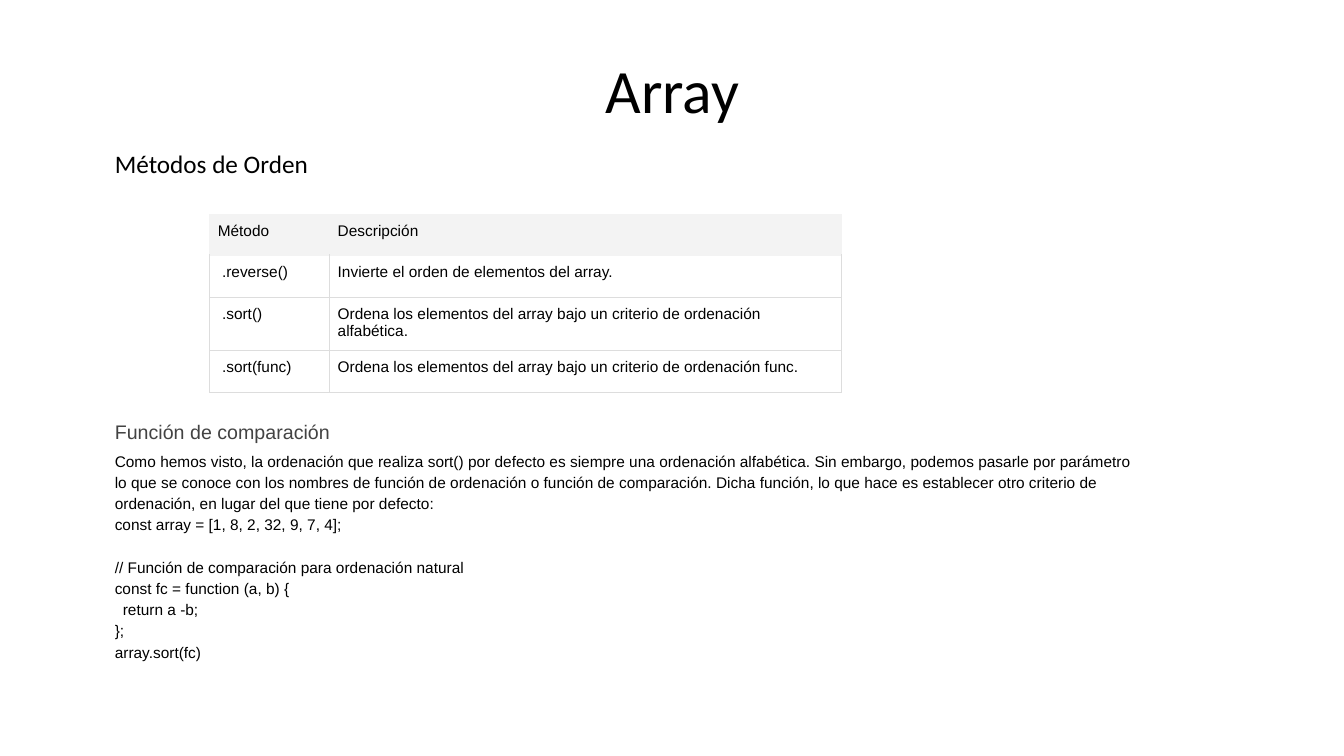
from lxml import etree
from pptx import Presentation
from pptx import util as u
from pptx.dml.color import RGBColor
from pptx.enum import text
from pptx.oxml.ns import qn

COLORS = {"text": "000000", "heading": "434343", "header": "F3F3F3",
          "body": "FFFFFF", "grid": "DDDDDD"}
METHODS = [
    ("Método", "Descripción"),
    (" .reverse()", "Invierte el orden de elementos del array."),
    (" .sort()", "Ordena los elementos del array bajo un criterio de ordenación alfabética."),
    (" .sort(func)", "Ordena los elementos del array bajo un criterio de ordenación func."),
]
EXPLANATION = (
    "Como hemos visto, la ordenación que realiza sort() por defecto es siempre una "
    "ordenación alfabética. Sin embargo, podemos pasarle por parámetro lo que se conoce "
    "con los nombres de función de ordenación o función de comparación. Dicha función, "
    "lo que hace es establecer otro criterio de ordenación, en lugar del que tiene por defecto:")
TABLE_GAP = 170  # points left free for the table
# text, font, size, color, line spacing, space before, left indent in inches
PARAGRAPHS = [
    ("Métodos de Orden", "Calibri", 18, "text", 1, 0, 0),
    ("Función de comparación", "Arial", 14, "heading", 1.15, TABLE_GAP, 0),
    (EXPLANATION, "Arial", 11, "text", 1.15, 4, 0),
] + [(line, "Arial", 11, "text", 1.15, before, indent) for line, before, indent in [
    ("const array = [1, 8, 2, 32, 9, 7, 4];", 0, 0),
    ("// Función de comparación para ordenación natural", 15, 0),
    ("const fc = function (a, b) {", 0, 0),
    ("return a -b;", 0, 0.08),
    ("};", 0, 0),
    ("array.sort(fc)", 0, 0),
]]


def set_font(p, name, size, color):
    p.font.name = name
    p.font.size = u.Pt(size)
    p.font.color.rgb = RGBColor.from_string(COLORS[color])


def set_margins(obj, x, y):
    obj.margin_left = obj.margin_right = u.Inches(x)
    obj.margin_top = obj.margin_bottom = u.Inches(y)


def add_title(s, left, top, width, height):
    sp = s.shapes.title
    sp.left, sp.top, sp.width, sp.height = map(u.Inches, (left, top, width, height))
    tf = sp.text_frame
    tf.text = "Array"
    tf.vertical_anchor = text.MSO_ANCHOR.MIDDLE
    set_margins(tf, 0.1, 0.05)
    p = tf.paragraphs[0]
    p.alignment = text.PP_ALIGN.CENTER
    p.line_spacing = 0.9
    set_font(p, "Calibri", 44, "text")


def add_body(s, left, top, width, height):
    tf = s.shapes.add_textbox(*map(u.Inches, (left, top, width, height))).text_frame
    tf.word_wrap = True
    set_margins(tf, 0.1, 0.1)
    for i, (line, font, size, color, spacing, before, indent) in enumerate(PARAGRAPHS):
        p = tf.add_paragraph() if i else tf.paragraphs[0]
        p.text = line
        p.line_spacing = spacing
        p.space_before = u.Pt(before)
        set_font(p, font, size, color)
        if indent:
            p._p.get_or_add_pPr().set("marL", str(u.Inches(indent)))


def set_borders(cell, top_color, color):
    """Draw the cell's four edges, placed ahead of its fill as the schema asks."""
    tcPr = cell._tc.get_or_add_tcPr()
    for i, side in enumerate(("lnL", "lnR", "lnT", "lnB")):
        edge = top_color if side == "lnT" else color
        width = 1 if edge == "header" else 0.75
        ln = etree.Element(qn(f"a:{side}"), w=str(u.Pt(width)))
        fill = etree.SubElement(ln, qn("a:solidFill"))
        etree.SubElement(fill, qn("a:srgbClr"), val=COLORS[edge])
        tcPr.insert(i, ln)


def add_methods_table(s, left, top, width, height):
    name_width = 1.19
    header_height = 0.4
    table = s.shapes.add_table(len(METHODS), 2, *map(
        u.Inches, (left, top, width, height))).table
    table.columns[0].width = u.Inches(name_width)
    table.columns[1].width = u.Inches(width - name_width)
    row_height = (height - header_height) / (len(METHODS) - 1)
    for r, values in enumerate(METHODS):
        table.rows[r].height = u.Inches(row_height if r else header_height)
        for c, value in enumerate(values):
            cell = table.cell(r, c)
            cell.text = value
            set_margins(cell, 0.08, 0.08)
            cell.fill.solid()
            cell.fill.fore_color.rgb = RGBColor.from_string(COLORS["body" if r else "header"])
            set_font(cell.text_frame.paragraphs[0], "Arial", 11, "text")
            set_borders(cell, "grid" if r > 1 else "header", "grid" if r else "header")


def main():
    prs = Presentation()
    prs.slide_width, prs.slide_height = u.Inches(13.33), u.Inches(7.5)
    s = prs.slides.add_slide(prs.slide_layouts[5])
    add_title(s, 0.92, 0.4, 11.5, 1.05)
    add_body(s, 1.04, 1.37, 10.41, 5.19)
    add_methods_table(s, 2.08, 2.13, 6.27, 1.66)
    prs.save("out.pptx")


if __name__ == "__main__":
    main()
